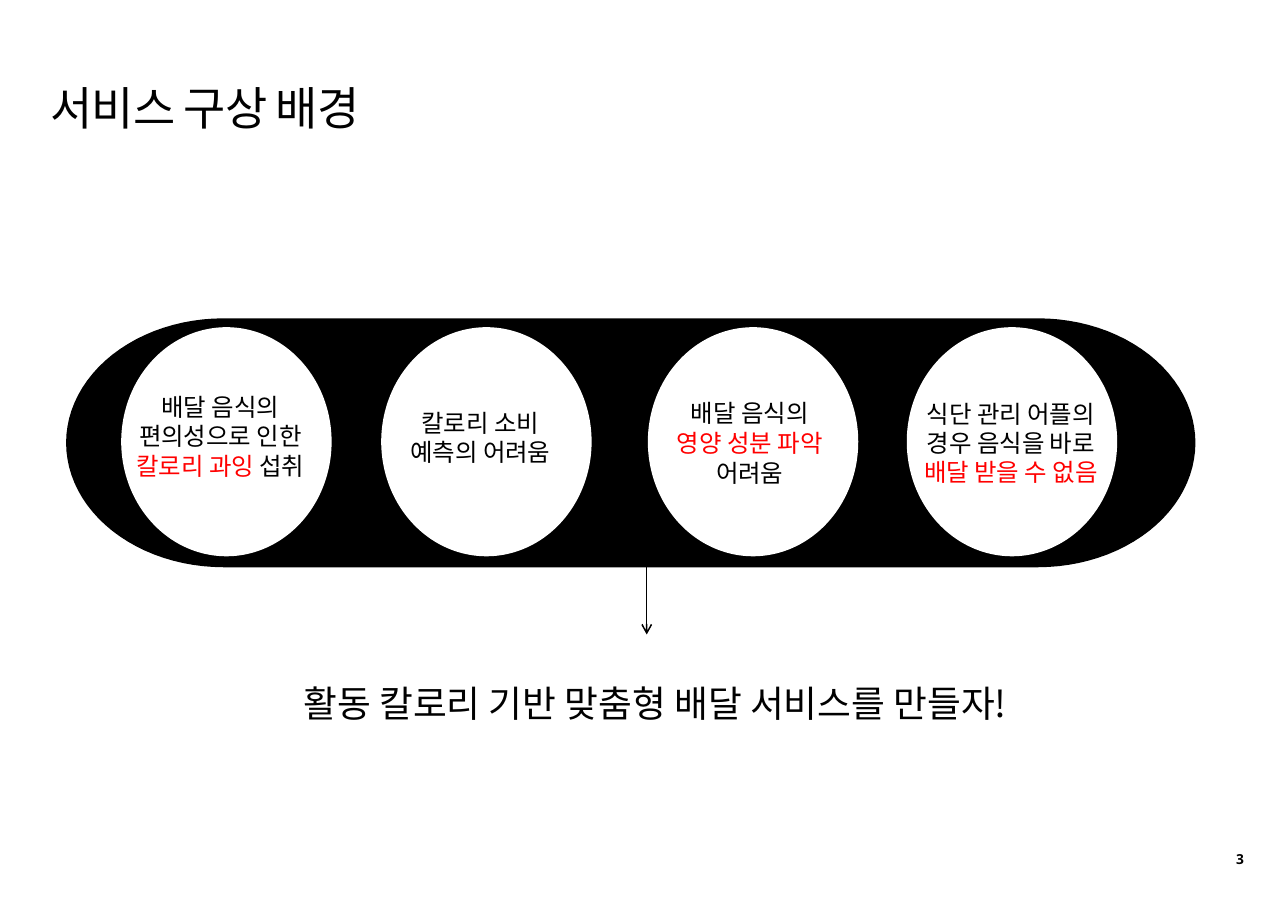
from math import cos, pi, sin

from lxml.etree import SubElement
from pptx import Presentation
from pptx.dml.color import RGBColor
from pptx.enum.shapes import MSO_CONNECTOR as Connector, MSO_SHAPE as Shape
from pptx.enum.text import MSO_ANCHOR as Anchor, PP_ALIGN as Align
from pptx.oxml.ns import qn
from pptx.util import Inches, Pt

KOREAN, LATIN = "Noto Sans CJK KR", "Open Sans"
BLACK, WHITE, RED = "000000", "FFFFFF", "FF0000"

# Each reason: circle left, text box (left, top, width, height), paragraphs of (text, colour)
REASONS = [
    (1.1, (1.19, 3.55, 1.62, 0.82),
     [[("배달 음식의 편의성으로 인한 ", BLACK), ("칼로리 과잉 ", RED), ("섭취", BLACK)]]),
    (3.46, (3.55, 3.69, 1.62, 0.55),
     [[("칼로리 소비 예측의 어려움", BLACK)]]),
    (5.88, (5.97, 3.6, 1.67, 0.84),
     [[("배달 음식의", BLACK)], [("영양 성분 파악 ", RED), ("어려움", BLACK)]]),
    (8.23, (8.34, 3.61, 1.67, 0.82),
     [[("식단 관리 어플의 경우 음식을 바로 ", BLACK), ("배달 받을 수 없음", RED)]]),
]


def colour(hex_code):
    return RGBColor.from_string(hex_code)


def paint(shape, hex_code):
    shape.shadow.inherit = False
    shape.fill.solid()
    shape.fill.fore_color.rgb = colour(hex_code)
    shape.line.fill.background()


def write(shape, box, paragraphs, size, align, font=KOREAN, bold=False, spacing=None):
    """Place a text shape in its box and fill it with coloured runs."""
    shape.left, shape.top, shape.width, shape.height = map(Inches, box)
    frame = shape.text_frame
    frame.word_wrap = True
    frame.vertical_anchor = Anchor.TOP
    frame.margin_left = frame.margin_right = frame.margin_bottom = 0
    frame.margin_top = Inches(0.01)
    for index, runs in enumerate(paragraphs):
        paragraph = frame.add_paragraph() if index else frame.paragraphs[0]
        paragraph.alignment = align
        paragraph.space_before = Pt(1 if index else 0)
        if spacing:
            paragraph.line_spacing = spacing
        paragraph.font.size = Pt(size)
        paragraph.font.bold = bold
        paragraph.font.name = font
        defaults = paragraph.font._element
        SubElement(defaults, qn("a:ea")).set("typeface", font)
        for text, hex_code in runs:
            run = paragraph.add_run()
            run.text = text
            run.font.color.rgb = colour(hex_code)


def add_text(slide, box, *args, **options):
    write(slide.shapes.add_textbox(0, 0, 0, 0), box, *args, **options)


def add_heading(slide, box):
    title = slide.shapes.title
    write(title, box, [[("서비스 구상 배경", BLACK)]], 30, Align.LEFT)
    title.text_frame.paragraphs[0].runs[0]._r.get_or_add_rPr().set("spc", "-60")


def add_arrow(slide, x, top, bottom):
    arrow = slide.shapes.add_connector(
        Connector.STRAIGHT, Inches(x), Inches(top), Inches(x), Inches(bottom))
    arrow.line.color.rgb = colour(BLACK)
    arrow.line.width = Pt(1)
    SubElement(arrow.line._get_or_add_ln(), qn("a:tailEnd")).set("type", "arrow")
    SubElement(arrow._element.spPr, qn("a:effectLst"))


def add_band(slide, box, cap, steps=48):
    """Draw a bar whose two ends are half ellipses of width cap."""
    left, top, width, height = box
    middle = top + height / 2
    outline = []
    for centre, start in ((left + cap, pi / 2), (left + width - cap, -pi / 2)):
        for step in range(steps + 1):
            angle = start + pi * step / steps
            outline.append((Inches(centre + cap * cos(angle)),
                            Inches(middle + height / 2 * sin(angle))))
    builder = slide.shapes.build_freeform(*outline[0])
    builder.add_line_segments(outline[1:], close=True)
    paint(builder.convert_to_shape(), BLACK)


def add_reasons(slide, box):
    add_band(slide, box, 1.43)
    for left, text_box, paragraphs in REASONS:
        circle = slide.shapes.add_shape(
            Shape.OVAL, Inches(left), Inches(box[1] + 0.08), Inches(1.91), Inches(2.08))
        paint(circle, WHITE)
        add_text(slide, text_box, paragraphs, 16, Align.CENTER)


def main():
    deck = Presentation()
    deck.slide_width, deck.slide_height = Inches(11.69), Inches(8.27)
    slide = deck.slides.add_slide(deck.slide_layouts[5])

    add_heading(slide, (0.46, 0.71, 5.54, 0.53))
    # The arrow starts behind the band
    add_arrow(slide, 5.87, 3.28, 5.76)
    add_reasons(slide, (0.6, 2.89, 10.25, 2.26))
    # Conclusion and page number
    add_text(slide, (2.42, 6.14, 7.05, 0.43),
             [[("활동 칼로리 기반 맞춤형 배달 서비스를 만들자!", BLACK)]],
             24, Align.CENTER, spacing=1.07)
    add_text(slide, (10.85, 7.71, 0.44, 0.17), [[("3", BLACK)]],
             9, Align.RIGHT, font=LATIN, bold=True)
    deck.save("out.pptx")


if __name__ == "__main__":
    main()
